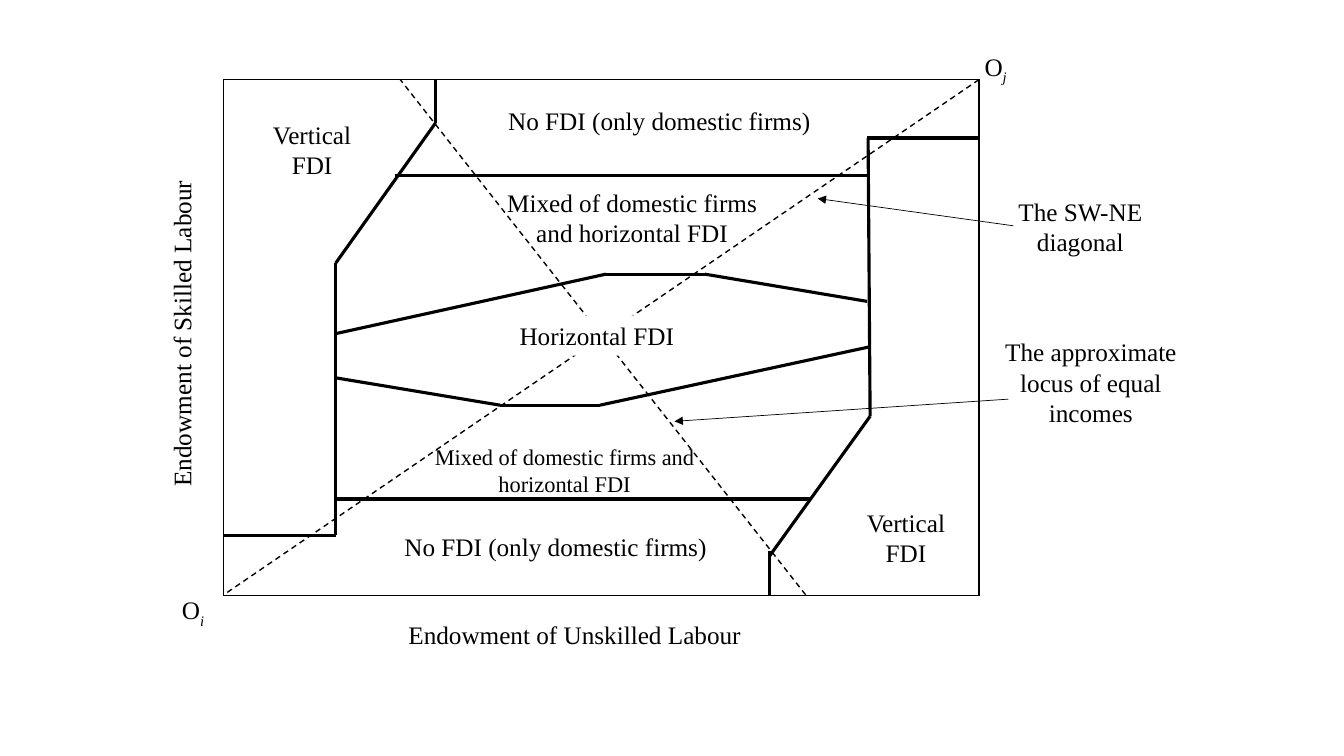
from dataclasses import dataclass
from itertools import pairwise

from pptx import Presentation
from pptx.dml.color import RGBColor
from pptx.enum.dml import MSO_LINE_DASH_STYLE as Dash
from pptx.enum.shapes import MSO_CONNECTOR as Connector, MSO_SHAPE as Preset
from pptx.enum.text import MSO_ANCHOR as Anchor, MSO_AUTO_SIZE as Fit, PP_ALIGN as Align
from pptx.oxml import parse_xml
from pptx.oxml.ns import nsdecls
from pptx.util import Inches, Pt

COLOURS = {"ink": "000000", "paper": "FFFFFF"}
FONT = "Times New Roman"
SUBSCRIPT = "-25000"
COLUMN = ROW = Inches(0.1)  # square grid, 133.3 columns by 75 rows

Point = tuple[float, float]


@dataclass(frozen=True)
class Route:
    points: tuple[Point, ...]
    weight: float = 2.25
    dashed: bool = False
    arrow: bool = False


@dataclass(frozen=True)
class Label:
    text: str
    left: float
    top: float
    width: float
    height: float = 4
    size: int = 18
    subscript: str = ""
    rotation: int = 0
    masked: bool = False


# Edgeworth box: left, top, width, height in columns and rows
LEFT, TOP, WIDTH, HEIGHT = 22.2, 7.9, 74.9, 51.2
RIGHT, BOTTOM = LEFT + WIDTH, 59

ROUTES = [
    # Borders of the vertical FDI regions
    Route(((LEFT, 53.1), (33.3, 53.1), (33.3, 26.1), (43.2, 12.2), (43.2, TOP))),
    Route(((RIGHT, 13.7), (86, 13.7))),
    Route(((86.1, 13.7), (86.3, 41.3), (76.3, 55.2))),
    Route(((76.3, 54.7), (76.3, BOTTOM))),
    # Borders of the regions without FDI
    Route(((80.3, 49.5), (33.3, 49.5))),
    Route(((86, 17.4), (39.2, 17.4))),
    # Upper and lower borders of the horizontal FDI region
    Route(((33.3, 33.1), (60.1, 27.2), (69.9, 27.2), (86, 29.9))),
    Route(((33.4, 37.5), (49.6, 40.2), (59.5, 40.2), (86.3, 34.4))),
    # Equal-income locus and diagonal
    Route(((79.9, BOTTOM), (39.7, TOP)), 1, dashed=True),
    Route(((RIGHT, TOP), (LEFT, BOTTOM)), 1, dashed=True),
    # Arrows from the notes
    Route(((100.5, 22.4), (81.1, 19.7)), 0.5, arrow=True),
    Route(((100, 39.6), (66.9, 41.8)), 0.5, arrow=True),
]

MIXED = "Mixed of domestic firms and horizontal FDI"
NO_FDI = "No FDI (only domestic firms)"
LABELS = [
    # Regions
    Label("Vertical FDI", 26, 11.3, 9.9, 7.1),
    Label("Vertical FDI", 84.9, 49.8, 9.9, 7.1),
    Label(NO_FDI, 45.2, 10, 40.4),
    Label(NO_FDI, 34.9, 52.2, 40.4),
    Label("Horizontal FDI", 45.2, 31.3, 28, masked=True),
    Label(MIXED, 48.2, 18.1, 29, 7.1),
    Label(MIXED, 41.5, 43.5, 29, 6.4, size=16),
    # Notes
    Label("The SW-NE diagonal", 99.2, 19, 15.9, 7.1),
    Label("The approximate locus of equal incomes", 96.7, 32.9, 23, 10.1),
    # Axes and origins
    Label("Endowment of Unskilled Labour", 36.8, 60.9, 40.4),
    Label("Endowment of Skilled Labour", -2.2, 31.1, 40.4, rotation=270),
    Label("O", 14.2, 58.5, 9.9, subscript="i"),
    Label("O", 93.8, 4.6, 9.9, subscript="j"),
]


def place(*lengths: float) -> list[int]:
    """Turn alternating columns and rows into slide lengths."""
    return [round(length * (ROW if index % 2 else COLUMN))
            for index, length in enumerate(lengths)]


def colour(name: str) -> RGBColor:
    return RGBColor.from_string(COLOURS[name])


def apply(target: object, formats: dict[str, object]) -> None:
    for name, value in formats.items():
        setattr(target, name, value)


def draw_frame(page) -> None:
    table = page.shapes.add_table(1, 1, *place(LEFT, TOP, WIDTH, HEIGHT)).table
    apply(table, {"first_row": False, "horz_banding": False})
    cell = table.cell(0, 0)
    cell.fill.background()
    properties = cell._tc.get_or_add_tcPr()
    for index, side in enumerate("LRTB"):
        properties.insert(index, parse_xml(
            f'<a:ln{side} {nsdecls("a")} w="{Pt(1)}"><a:solidFill>'
            f'<a:srgbClr val="{COLOURS["ink"]}"/></a:solidFill></a:ln{side}>'))


def draw_route(page, route: Route) -> None:
    for start, end in pairwise(route.points):
        link = page.shapes.add_connector(Connector.STRAIGHT, *place(*start, *end))
        link.line.color.rgb = colour("ink")
        link.line.width = Pt(route.weight)
        if route.dashed:
            link.line.dash_style = Dash.DASH
        if route.arrow:
            link.line._get_or_add_ln().append(
                parse_xml(f'<a:tailEnd {nsdecls("a")} type="triangle"/>'))
        link._element.spPr.append(parse_xml(f'<a:effectLst {nsdecls("a")}/>'))


def draw_label(page, label: Label) -> None:
    bounds = place(label.left, label.top, label.width, label.height)
    if label.masked:
        box = page.shapes.add_shape(Preset.RECTANGLE, *bounds)
        box.shadow.inherit = False
        box.fill.solid()
        box.fill.fore_color.rgb = colour("paper")
        box.line.fill.background()
    else:
        box = page.shapes.add_textbox(*bounds)
    box.rotation = label.rotation
    apply(box.text_frame, {"word_wrap": True, "auto_size": Fit.SHAPE_TO_FIT_TEXT,
                           "vertical_anchor": Anchor.TOP})
    para = box.text_frame.paragraphs[0]
    para.alignment = Align.CENTER
    for text, lowered in ((label.text, False), (label.subscript, True)):
        if not text:
            continue
        span = para.add_run()
        span.text = text
        apply(span.font, {"name": FONT, "size": Pt(label.size), "italic": lowered})
        span.font.color.rgb = colour("ink")
        if lowered:
            span._r.get_or_add_rPr().set("baseline", SUBSCRIPT)


deck = Presentation()
apply(deck, {"slide_width": Inches(13.33), "slide_height": Inches(7.5)})
page = deck.slides.add_slide(deck.slide_layouts[6])

draw_frame(page)
for route in ROUTES:
    draw_route(page, route)
for label in LABELS:
    draw_label(page, label)

deck.save("out.pptx")
